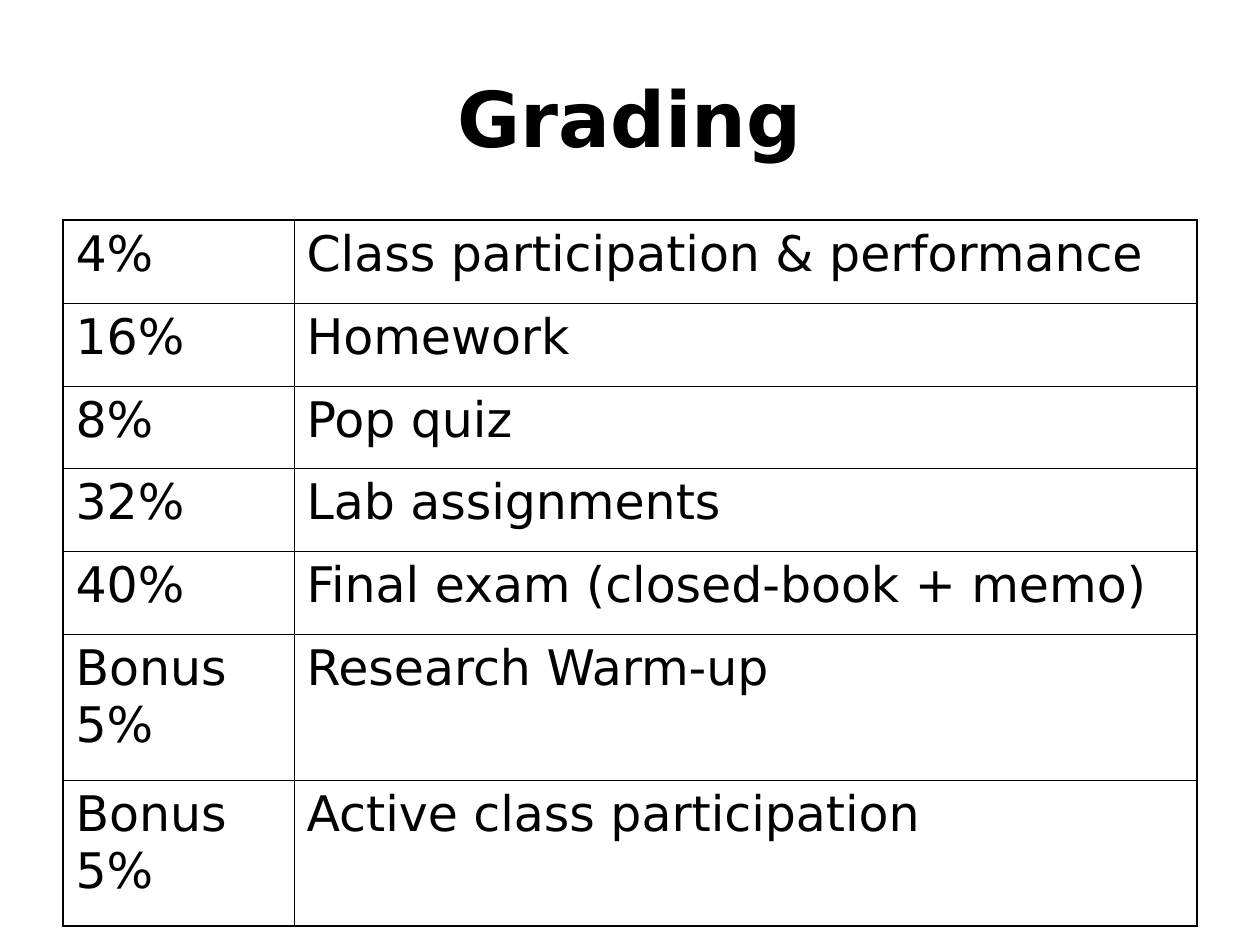
from lxml.etree import SubElement
from pptx import Presentation
from pptx.dml.color import RGBColor
from pptx.enum.text import MSO_ANCHOR, PP_ALIGN
from pptx.oxml.ns import qn
from pptx.util import Pt

PX = 914400 // 126
BLACK = RGBColor(0x00, 0x00, 0x00)
FONT = "DejaVu Sans"
OUTER, INNER = Pt(1.08), Pt(0.45)

GRADING = [
    ("4%", "Class participation & performance", 83),
    ("16%", "Homework", 83),
    ("8%", "Pop quiz", 82),
    ("32%", "Lab assignments", 83),
    ("40%", "Final exam (closed-book + memo)", 83),
    ("Bonus 5%", "Research Warm-up", 146),
    ("Bonus 5%", "Active class participation", 146),
]
COLUMN_WIDTHS = [231, 903]


def style_text(paragraph, size, bold=False):
    font = paragraph.font
    font.name, font.size, font.bold = FONT, Pt(size), bold
    font.color.rgb = BLACK


def add_borders(cell, widths):
    """Draw the left, right, top and bottom borders, in that order."""
    properties = cell._tc.get_or_add_tcPr()
    for tag, width in zip(("a:lnL", "a:lnR", "a:lnT", "a:lnB"), widths):
        line = SubElement(properties, qn(tag), w=str(width))
        fill = SubElement(line, qn("a:solidFill"))
        SubElement(fill, qn("a:srgbClr"), val=str(BLACK))


presentation = Presentation()
presentation.slide_width = 1260 * PX
presentation.slide_height = 945 * PX
slide = presentation.slides.add_slide(presentation.slide_layouts[6])

title = slide.shapes.add_textbox(63 * PX, 38 * PX, 1134 * PX, 158 * PX)
title_frame = title.text_frame
title_frame.word_wrap = True
title_frame.vertical_anchor = MSO_ANCHOR.MIDDLE
title_frame.text = "Grading"
title_frame.paragraphs[0].alignment = PP_ALIGN.CENTER
style_text(title_frame.paragraphs[0], 44, bold=True)

table_height = sum(height for _, _, height in GRADING)
table = slide.shapes.add_table(
    len(GRADING), len(COLUMN_WIDTHS),
    63 * PX, 220 * PX, sum(COLUMN_WIDTHS) * PX, table_height * PX,
).table
table.first_row = table.horz_banding = False
for column, width in zip(table.columns, COLUMN_WIDTHS):
    column.width = width * PX

last_row, last_column = len(GRADING) - 1, len(COLUMN_WIDTHS) - 1
for row_index, (share, item, height) in enumerate(GRADING):
    table.rows[row_index].height = height * PX
    for column_index, text in enumerate((share, item)):
        cell = table.cell(row_index, column_index)
        cell.text_frame.text = text
        style_text(cell.text_frame.paragraphs[0], 28)
        on_edge = (column_index == 0, column_index == last_column,
                   row_index == 0, row_index == last_row)
        add_borders(cell, [OUTER if edge else INNER for edge in on_edge])
        cell.fill.background()

presentation.save("out.pptx")
